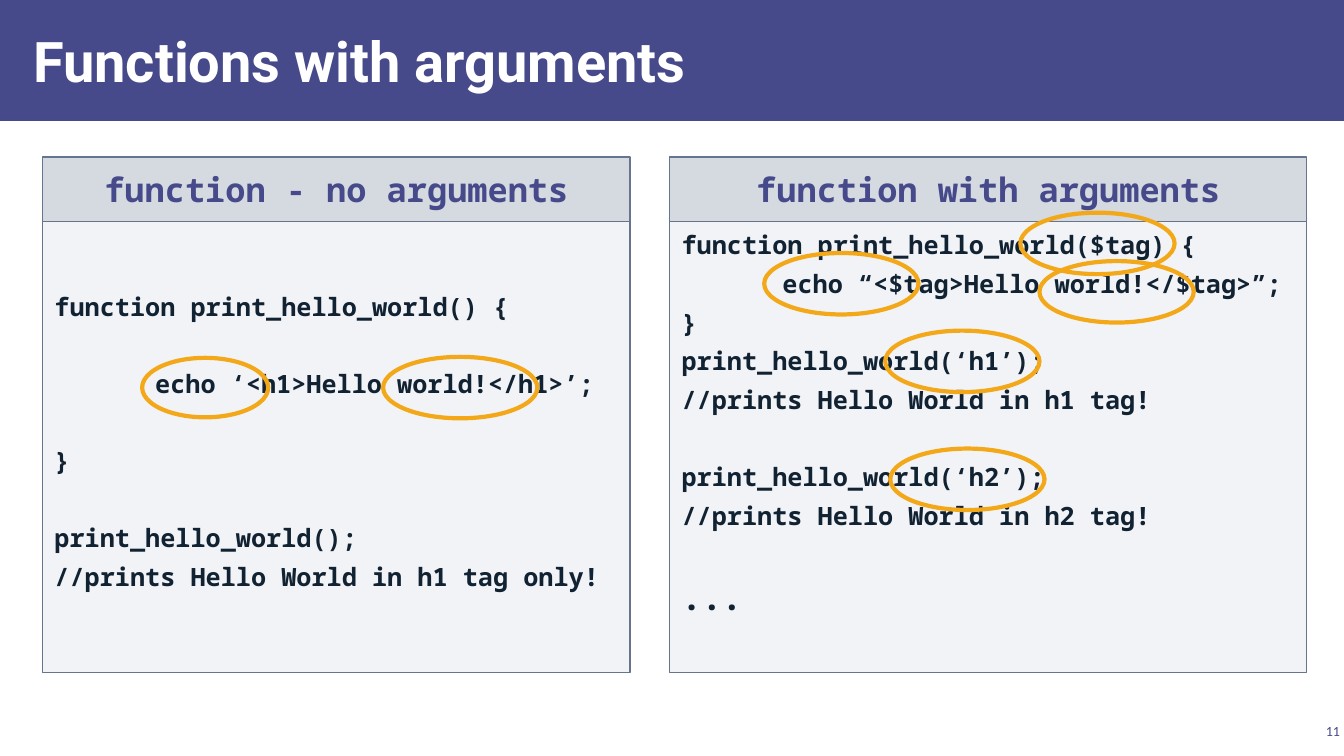
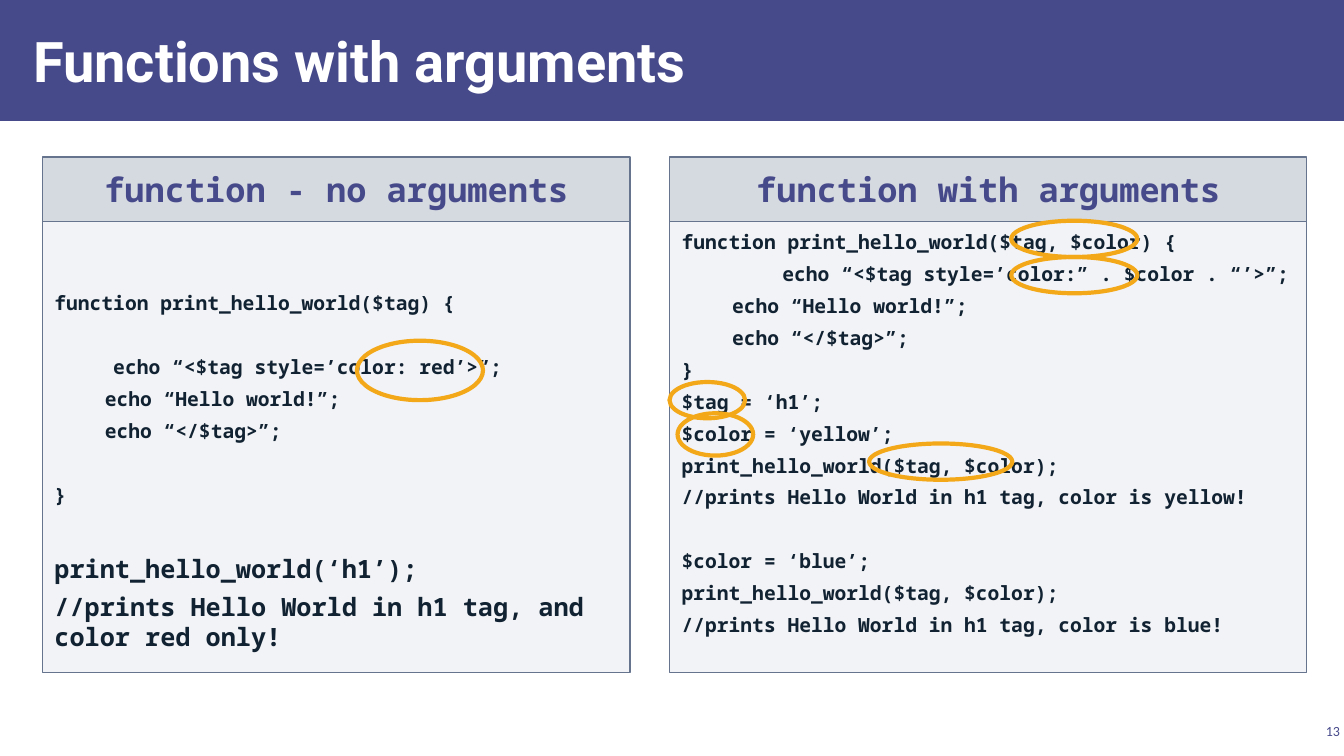
from lxml import etree
from pptx import Presentation
from pptx.dml.color import RGBColor
from pptx.enum.shapes import MSO_SHAPE as Preset
from pptx.enum.text import MSO_ANCHOR as Anchor, MSO_AUTO_SIZE as AutoSize, PP_ALIGN as Align
from pptx.oxml.ns import qn
from pptx.util import Inches, Pt

INDIGO = RGBColor(0x47, 0x4A, 0x8A)
WHITE = RGBColor(0xFF, 0xFF, 0xFF)
NAVY = RGBColor(0x11, 0x22, 0x32)
PANEL_GREY = RGBColor(0xAC, 0xB4, 0xC3)
PANEL_EDGE = RGBColor(0x67, 0x74, 0x8E)
AMBER = RGBColor(0xF2, 0xA8, 0x18)
CODE_FONT = "Noto Sans Mono"

SLIDE_WIDTH = 13.33
HEAD_TOP, HEAD_HEIGHT, CODE_HEIGHT = 1.56, 0.64, 4.47
LINE_GAP = 6        # points before each code line
LINE_FACTOR = 1.19  # line height relative to the font size

# Panel: heading, left, width
PANELS = [
    ("function - no arguments", 0.42, 5.83),
    ("function with arguments", 6.64, 6.32),
]

# Code line: text, font size, indent in inches, size of the empty line above (0 = none)
# Code block: top inset in inches, lines. Highlight: left, top, width, height
SLIDES = [
    {
        "title": "Functions with arguments",
        "number": "11",
        "code": [
            (0.69, [
                ("function print_hello_world() {", 18, 0, 0),
                ("echo ‘<h1>Hello world!</h1>’;", 18, 1, 18),
                ("}", 18, 0, 18),
                ("print_hello_world();", 18, 0, 18),
                ("//prints Hello World in h1 tag only!", 18, 0, 0),
            ]),
            (0.08, [
                ("function print_hello_world($tag) {", 18, 0, 0),
                ("echo “<$tag>Hello world!</$tag>”;", 18, 1, 0),
                ("}", 18, 0, 0),
                ("print_hello_world(‘h1’);", 18, 0, 0),
                ("//prints Hello World in h1 tag!", 18, 0, 0),
                ("print_hello_world(‘h2’);", 18, 0, 18),
                ("//prints Hello World in h2 tag!", 18, 0, 0),
                ("...", 24, 0, 18),
            ]),
        ],
        "highlights": [
            (1.41, 3.55, 1.25, 0.59),
            (3.8, 3.54, 1.53, 0.61),
            (10.12, 2.11, 1.53, 0.61),
            (7.58, 2.51, 1.53, 0.61),
            (10.31, 2.59, 1.53, 0.61),
            (8.78, 3.28, 1.53, 0.61),
            (8.83, 4.45, 1.53, 0.61),
        ],
    },
    {
        "title": "Functions with arguments",
        "number": "13",
        "code": [
            (0.69, [
                ("function print_hello_world($tag) {", 14, 0, 0),
                ("     echo “<$tag style=’color: red’>”;", 14, 0, 14),
                ("echo “Hello world!”;", 14, 0.5, 0),
                ("echo “</$tag>”;", 14, 0.5, 0),
                ("}", 14, 0, 14),
                ("print_hello_world(‘h1’);", 18, 0, 18),
                ("//prints Hello World in h1 tag, and color red only!", 18, 0, 0),
            ]),
            (0.08, [
                ("function print_hello_world($tag, $color) {", 14, 0, 0),
                ("echo “<$tag style=’color:” . $color . “’>”;", 14, 1, 0),
                ("echo “Hello world!”;", 14, 0.5, 0),
                ("echo “</$tag>”;", 14, 0.5, 0),
                ("}", 14, 0, 0),
                ("$tag = ‘h1’;", 14, 0, 0),
                ("$color = ‘yellow’;", 14, 0, 0),
                ("print_hello_world($tag, $color);", 14, 0, 0),
                ("//prints Hello World in h1 tag, color is yellow!", 14, 0, 0),
                ("$color = ‘blue’;", 14, 0, 14),
                ("print_hello_world($tag, $color);", 14, 0, 0),
                ("//prints Hello World in h1 tag, color is blue!", 14, 0, 0),
            ]),
        ],
        "highlights": [
            (3.54, 3.38, 1.25, 0.59),
            (10.03, 2.19, 1.25, 0.36),
            (10.03, 2.55, 1.25, 0.36),
            (6.64, 3.79, 0.75, 0.36),
            (6.72, 4.1, 0.75, 0.42),
            (8.62, 4.4, 1.42, 0.36),
        ],
    },
]


def inches(*lengths):
    return [Inches(length) for length in lengths]


def add_text(paragraph, text, size, font, color, bold=True, align=Align.LEFT):
    paragraph.alignment = align
    run = paragraph.add_run()
    run.text = text
    run.font.size, run.font.name, run.font.bold = Pt(size), font, bold
    run.font.color.rgb = color


def set_frame(frame, anchor, left, top, right, bottom):
    frame.word_wrap = True
    frame.auto_size = AutoSize.NONE
    frame.vertical_anchor = anchor
    frame.margin_left, frame.margin_top, frame.margin_right, frame.margin_bottom = inches(
        left, top, right, bottom)


def add_panel_box(slide, box, opacity):
    """Add an outlined rectangle with a see-through fill; opacity is in percent."""
    panel = slide.shapes.add_shape(Preset.RECTANGLE, *inches(*box))
    panel.shadow.inherit = False
    panel.fill.solid()
    panel.fill.fore_color.rgb = PANEL_GREY
    tint = panel.fill._xPr.find(qn("a:solidFill"))[0]
    etree.SubElement(tint, qn("a:alpha")).set("val", str(opacity * 1000))
    panel.line.color.rgb = PANEL_EDGE
    panel.line.width = Pt(1)
    return panel.text_frame


def add_code(slide, left, width, top_inset, lines):
    frame = add_panel_box(slide, (left, HEAD_TOP + HEAD_HEIGHT, width, CODE_HEIGHT), 15)
    set_frame(frame, Anchor.TOP, 0.12, top_inset, 0.12, 0.08)
    for index, (text, size, indent, empty_size) in enumerate(lines):
        paragraph = frame.add_paragraph() if index else frame.paragraphs[0]
        if indent:
            properties = paragraph._p.get_or_add_pPr()
            properties.set("marL", str(Inches(indent)))
            properties.set("indent", "0")
        if index:
            skipped = LINE_GAP + LINE_FACTOR * empty_size if empty_size else 0
            paragraph.space_before = Pt(LINE_GAP + skipped)
        add_text(paragraph, text, size, CODE_FONT, NAVY)


def add_heading(slide, text, left, width):
    frame = add_panel_box(slide, (left, HEAD_TOP, width, HEAD_HEIGHT), 50)
    set_frame(frame, Anchor.TOP, 0.12, 0.12, 0.12, 0.12)
    add_text(frame.paragraphs[0], text, 24, CODE_FONT, INDIGO, align=Align.CENTER)


def add_highlight(slide, box):
    ring = slide.shapes.add_shape(Preset.OVAL, *inches(*box))
    ring.shadow.inherit = False
    ring.fill.background()
    ring.line.color.rgb = AMBER
    ring.line.width = Pt(3)


def add_band_to_layout(layout, slide):
    """Draw the title band on the slide, then move it behind everything on the layout."""
    band = slide.shapes.add_shape(Preset.RECTANGLE, *inches(0, 0, SLIDE_WIDTH, 1.2))
    band.shadow.inherit = False
    band.fill.solid()
    band.fill.fore_color.rgb = INDIGO
    band.line.fill.background()
    layout.shapes._spTree.insert(2, band._element)


def build_slide(slide, content):
    title = slide.shapes.title.text_frame
    set_frame(title, Anchor.MIDDLE, 0.12, 0.04, 0.12, 0.04)
    add_text(title.paragraphs[0], content["title"], 40, "Roboto", WHITE)

    number = slide.shapes.add_textbox(*inches(12.86, 7.14, 0.47, 0.22)).text_frame
    set_frame(number, Anchor.MIDDLE, 0.04, 0.04, 0.04, 0.04)
    add_text(number.paragraphs[0], content["number"], 10, "Calibri", INDIGO, False, Align.RIGHT)

    for (heading, left, width), (top_inset, lines) in zip(PANELS, content["code"]):
        add_code(slide, left, width, top_inset, lines)
        add_heading(slide, heading, left, width)
    for box in content["highlights"]:
        add_highlight(slide, box)


def main():
    deck = Presentation()
    deck.slide_width, deck.slide_height = inches(SLIDE_WIDTH, 7.5)
    layout = deck.slide_layouts[5]
    heading = layout.placeholders[0]
    heading.left, heading.top, heading.width, heading.height = inches(0.21, 0.11, 10.4, 0.97)
    for index, content in enumerate(SLIDES):
        slide = deck.slides.add_slide(layout)
        if index == 0:
            add_band_to_layout(layout, slide)
        build_slide(slide, content)
    deck.save("out.pptx")


if __name__ == "__main__":
    main()
